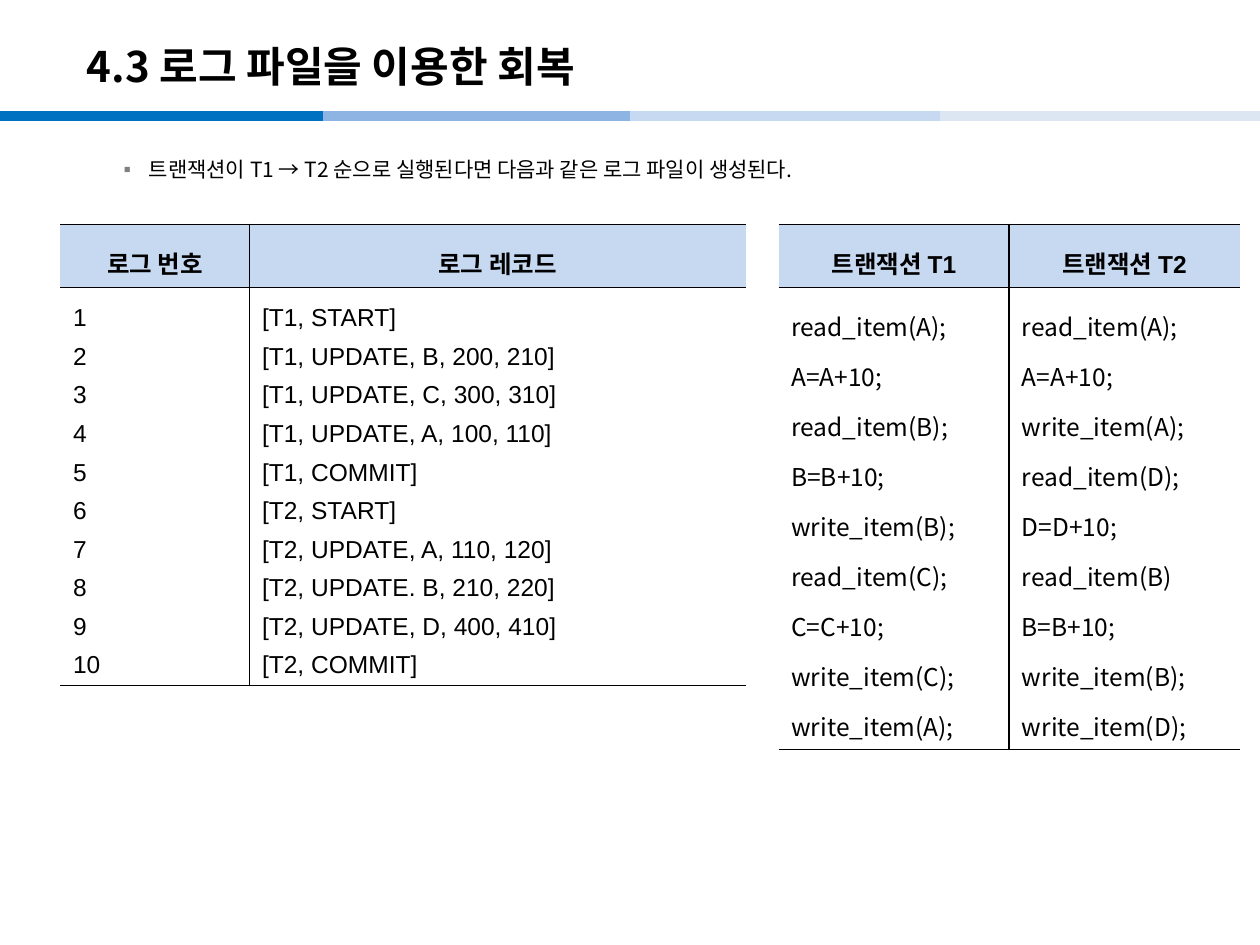
from lxml.etree import SubElement
from pptx import Presentation
from pptx.dml.color import RGBColor
from pptx.enum.shapes import MSO_CONNECTOR
from pptx.enum.text import MSO_ANCHOR as Anchor, MSO_AUTO_SIZE as AutoSize, PP_ALIGN as Align
from pptx.oxml.ns import qn
from pptx.util import Inches, Pt

KOREAN = "Noto Sans CJK KR"
LATIN = "Arial"
NO_STYLE = "{2D5ABB26-0587-4C30-8999-92F81FD0307C}"


def color(value):
    return RGBColor.from_string(value)


class SlideBuilder:
    black, white, header_fill, bullet_gray = "000000", "FFFFFF", "C6D9F1", "808080"

    def __init__(self, slide):
        self.slide = slide

    def add_text(self, paragraph, text, **formats):
        run = paragraph.add_run()
        run.text = text
        for name, value in formats.items():
            setattr(run.font, name, value)
        run.font.color.rgb = color(self.black)
        SubElement(run._r.get_or_add_rPr(), qn("a:ea"), typeface=KOREAN)

    def place(self, shape, left, top, width, height, anchor):
        shape.left, shape.top = Inches(left), Inches(top)
        shape.width, shape.height = Inches(width), Inches(height)
        frame = shape.text_frame
        frame.auto_size, frame.vertical_anchor = AutoSize.NONE, anchor
        return frame.paragraphs[0]

    def title(self, text, *box):
        paragraph = self.place(self.slide.shapes.title, *box, Anchor.MIDDLE)
        paragraph.alignment = Align.LEFT
        self.add_text(paragraph, text, size=Pt(24), bold=True, name=KOREAN)

    def bullet(self, text, *box):
        paragraph = self.place(self.slide.placeholders[1], *box, Anchor.TOP)
        paragraph.level = 1
        paragraph.space_before, paragraph.space_after = Pt(0), Pt(4)
        properties = paragraph._p.get_or_add_pPr()
        properties.set("marL", str(Inches(0.49)))
        properties.set("indent", str(Inches(-0.2)))
        bullet_color = SubElement(properties, qn("a:buClr"))
        SubElement(bullet_color, qn("a:srgbClr"), val=self.bullet_gray)
        SubElement(properties, qn("a:buChar"), char="▪")
        self.add_text(paragraph, text, size=Pt(12), name=KOREAN)

    def band(self, left, right, top, line_color):
        line = self.slide.shapes.add_connector(
            MSO_CONNECTOR.STRAIGHT, Inches(left), Inches(top), Inches(right), Inches(top))
        line.line.color.rgb = color(line_color)
        line.line.width = Pt(6)
        SubElement(line._element.spPr, qn("a:effectLst"))

    def borders(self, cell, sides):
        properties = cell._tc.get_or_add_tcPr()
        for side in sides:
            line = SubElement(properties, qn(f"a:ln{side}"), w=str(Pt(1)))
            fill = SubElement(line, qn("a:solidFill"))
            SubElement(fill, qn("a:srgbClr"), val=self.black)

    def cell(self, cell, lines, is_header, sides, font):
        self.borders(cell, sides)
        cell.fill.solid()
        cell.fill.fore_color.rgb = color(self.header_fill if is_header else self.white)
        cell.vertical_anchor = Anchor.MIDDLE if is_header else Anchor.TOP
        for index, text in enumerate(lines):
            frame = cell.text_frame
            paragraph = frame.add_paragraph() if index else frame.paragraphs[0]
            paragraph.alignment = Align.CENTER if is_header else Align.LEFT
            paragraph.line_spacing = 1.4
            self.add_text(paragraph, text, size=Pt(14), bold=is_header, name=font)

    def table(self, left, top, widths, heights, columns, body_font):
        """Draw a two-row table; columns maps each header to its body lines."""
        table = self.slide.shapes.add_table(
            2, len(widths), Inches(left), Inches(top),
            Inches(sum(widths)), Inches(sum(heights))).table
        table.first_row = table.horz_banding = False
        table._tbl.tblPr.find(qn("a:tableStyleId")).text = NO_STYLE
        for row, height in zip(table.rows, heights):
            row.height = Inches(height)
        last = len(widths) - 1
        for index, (header, lines) in enumerate(columns.items()):
            table.columns[index].width = Inches(widths[index])
            sides = ("L" if index else "") + ("R" if index < last else "") + "TB"
            self.cell(table.cell(0, index), [header], True, sides, LATIN)
            self.cell(table.cell(1, index), lines, False, sides, body_font)


def main():
    presentation = Presentation()
    presentation.slide_width, presentation.slide_height = Inches(10), Inches(7.5)
    builder = SlideBuilder(presentation.slides.add_slide(presentation.slide_layouts[1]))

    bands = [(0, "0070C0"), (2.56, "8EB4E3"), (5, "C6D9F1"), (7.46, "DCE6F2")]
    for left, line_color in bands:
        builder.band(left, min(left + 2.56, 10), 0.92, line_color)

    builder.title("4.3 로그 파일을 이용한 회복", 0.59, 0.22, 8.27, 0.6)
    builder.bullet("트랜잭션이 T1 → T2 순으로 실행된다면 다음과 같은 로그 파일이 생성된다.",
                   0.59, 1.19, 8.82, 5.98)

    log_records = [
        "[T1, START]",
        "[T1, UPDATE, B, 200, 210]",
        "[T1, UPDATE, C, 300, 310]",
        "[T1, UPDATE, A, 100, 110]",
        "[T1, COMMIT]",
        "[T2, START]",
        "[T2, UPDATE, A, 110, 120]",
        "[T2, UPDATE. B, 210, 220]",
        "[T2, UPDATE, D, 400, 410]",
        "[T2, COMMIT]",
    ]
    log_numbers = [str(number) for number in range(1, len(log_records) + 1)]
    builder.table(0.48, 1.78, [1.5, 3.94], [0.5, 3.15],
                  {"로그 번호": log_numbers, "로그 레코드": log_records}, LATIN)

    first_transaction = [
        "read_item(A);", "A=A+10;", "read_item(B);", "B=B+10;", "write_item(B);",
        "read_item(C);", "C=C+10;", "write_item(C);", "write_item(A);",
    ]
    second_transaction = [
        "read_item(A);", "A=A+10;", "write_item(A);", "read_item(D);", "D=D+10;",
        "read_item(B)", "B=B+10;", "write_item(B);", "write_item(D);",
    ]
    builder.table(6.18, 1.78, [1.83, 1.83], [0.5, 3.66],
                  {"트랜잭션 T1": first_transaction, "트랜잭션 T2": second_transaction}, KOREAN)

    presentation.save("out.pptx")


if __name__ == "__main__":
    main()
